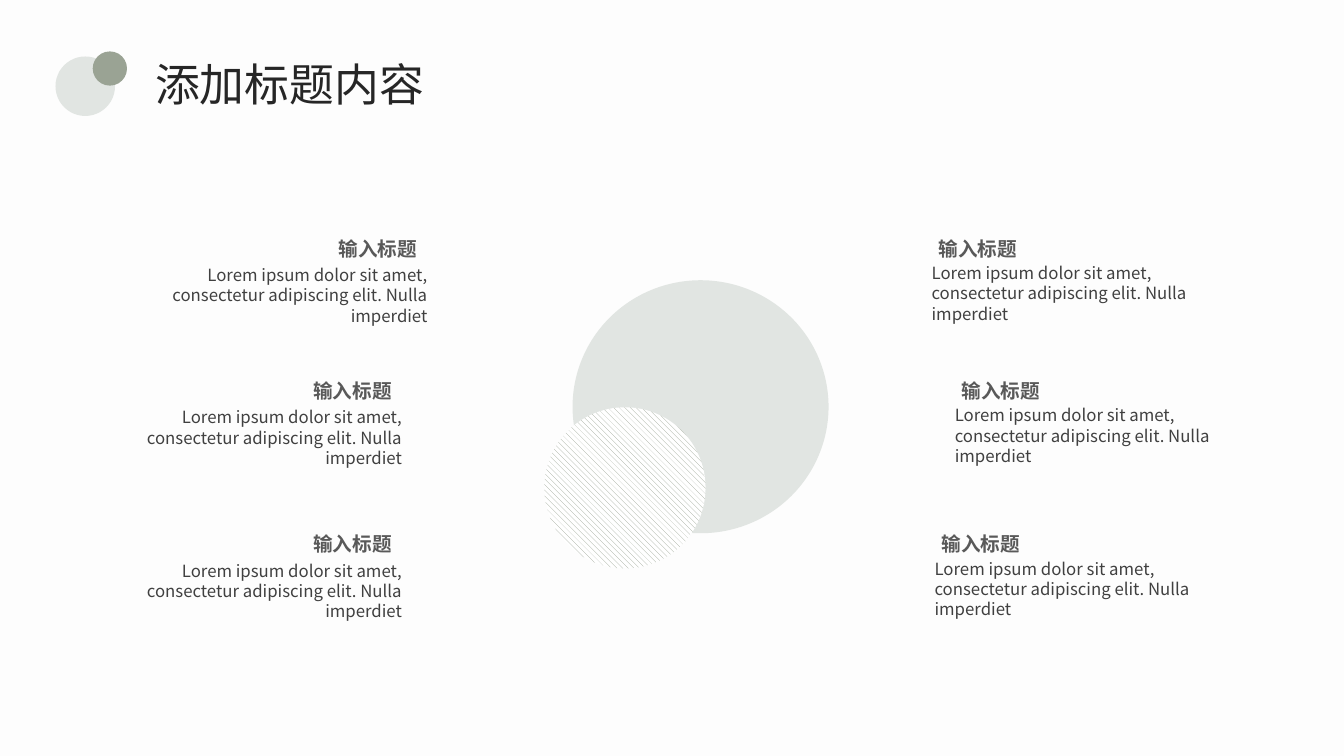
"""Build a slide of six captions around two overlapping circles."""
from pptx import Presentation, util as u
from pptx.dml.color import RGBColor
from pptx.enum import dml, shapes, text
from pptx.oxml.ns import qn
from lxml import etree

WIDE, HIGH = u.Inches(13.333), u.Inches(7.5)
FACE = "Noto Sans CJK SC"
HUES = {"page": "FDFDFD", "pale": "E1E5E2", "sage": "9AA394", "white": "FFFFFF",
        "title": "262626", "head": "595959", "body": "404040"}
HEAD = "输入标题"
BODY = "Lorem ipsum dolor sit amet, consectetur adipiscing elit. Nulla imperdiet"
ROWS = (30.27, 49.07, 69.33)
LEFT = (32.55, 30.65, 30.65)
RIGHT = (68.33, 70.05, 68.55)


def hue(name):
    """Return a named colour."""
    return RGBColor.from_string(HUES[name])


def place(x, y, w, h):
    """Turn percentages of the slide into lengths."""
    return [round(side * part / 100) for side, part in
            ((WIDE, x), (HIGH, y), (WIDE, w), (HIGH, h))]


def disc(home, box, fill, mesh=None):
    """Draw a plain circle, or a hatched one if a mesh is given."""
    oval = home.add_shape(shapes.MSO_SHAPE.OVAL, *place(*box))
    oval.shadow.inherit = False
    oval.line.fill.background()
    if mesh:
        oval.fill.patterned()
        oval.fill.pattern = mesh
        oval.fill.fore_color.rgb = hue(fill)
        oval.fill.back_color.rgb = hue("white")
    else:
        oval.fill.solid()
        oval.fill.fore_color.rgb = hue(fill)


def write(home, box, words, size, kind, align=text.PP_ALIGN.LEFT, wrap=True):
    """Add a text box and return its frame."""
    frame = home.add_textbox(*place(*box)).text_frame
    frame.word_wrap = wrap
    para = frame.paragraphs[0]
    para.text = words
    para.alignment = align
    font = para.font
    font.name, font.size = FACE, u.Pt(size)
    font.color.rgb = hue(kind)
    etree.SubElement(para._p.pPr.find(qn("a:defRPr")), qn("a:ea"), typeface=FACE)
    return frame


def label(home, box, align):
    """Add a bold caption heading with wide side margins."""
    frame = write(home, box, HEAD, 14, "head", align)
    frame.vertical_anchor = text.MSO_ANCHOR.MIDDLE
    frame.margin_left = frame.margin_right = u.Inches(0.2)
    frame.margin_top = frame.margin_bottom = u.Inches(0.1)
    para = frame.paragraphs[0]
    para.line_spacing = 1.2
    para.font.bold = True


def main():
    """Compose and save the slide."""
    deck = Presentation()
    deck.slide_width, deck.slide_height = WIDE, HIGH
    slide = deck.slides.add_slide(deck.slide_layouts[6])
    slide.background.fill.solid()
    slide.background.fill.fore_color.rgb = hue("page")
    home = slide.shapes

    write(home, (10.8, 6.8, 21.68, 8.53), "添加标题内容", 32, "title", wrap=False)
    mark = home.add_group_shape().shapes
    disc(mark, (4.13, 7.47, 4.43, 7.87), "pale")
    disc(mark, (6.9, 6.8, 2.55, 4.53), "sage")

    for x, y in zip(RIGHT, ROWS):
        side = text.PP_ALIGN.LEFT
        label(home, (x, y, 14.33, 4.67), side)
        write(home, (x + 0.25, y + 3.87, 22.58, 9.47), BODY, 12, "body", side)
    for edge, y in zip(LEFT, ROWS):
        side = text.PP_ALIGN.RIGHT
        label(home, (edge - 15.23, y, 15.23, 4.67), side)
        write(home, (edge - 23.93, y + 4.13, 23.93, 9.47), BODY, 12, "body", side)

    disc(home, (42.6, 37.07, 19.05, 33.47), "pale")
    disc(home, (40.5, 53.87, 12, 21.33), "sage",
         dml.MSO_PATTERN.WIDE_DOWNWARD_DIAGONAL)
    deck.save("out.pptx")


if __name__ == "__main__":
    main()
